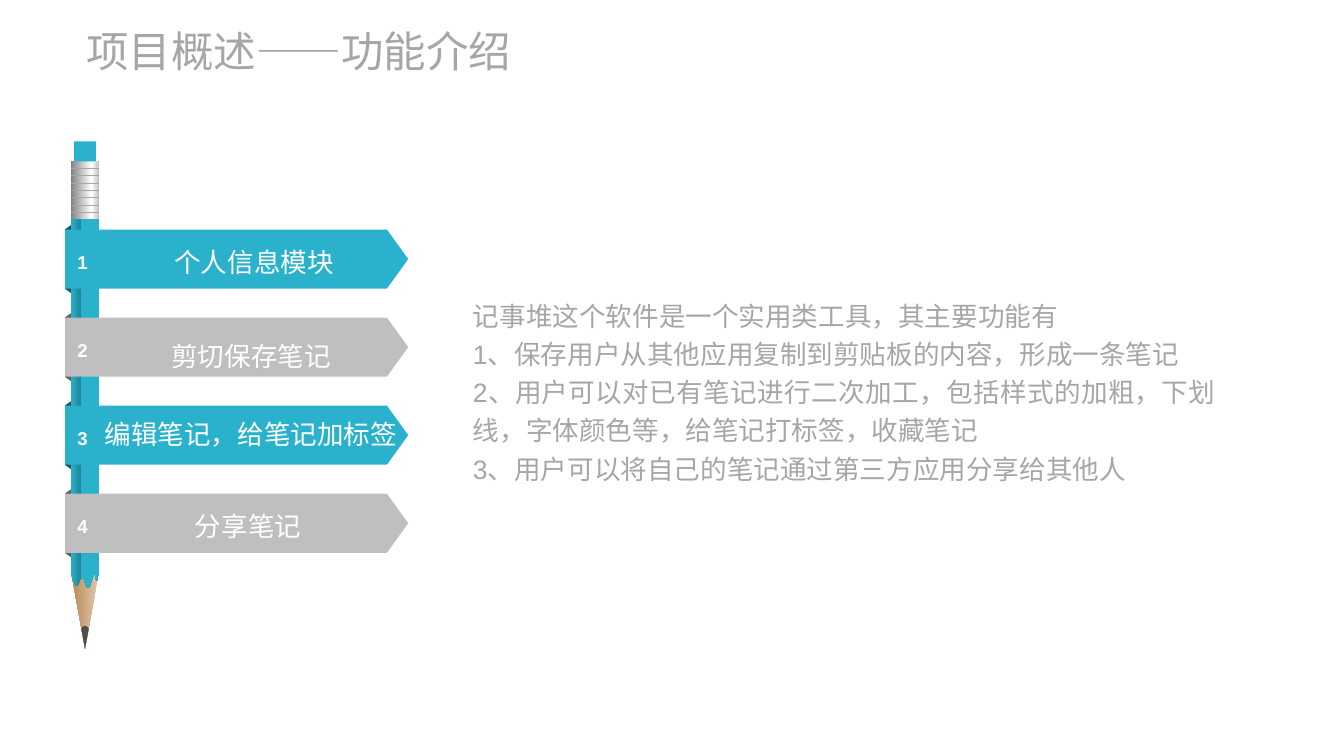
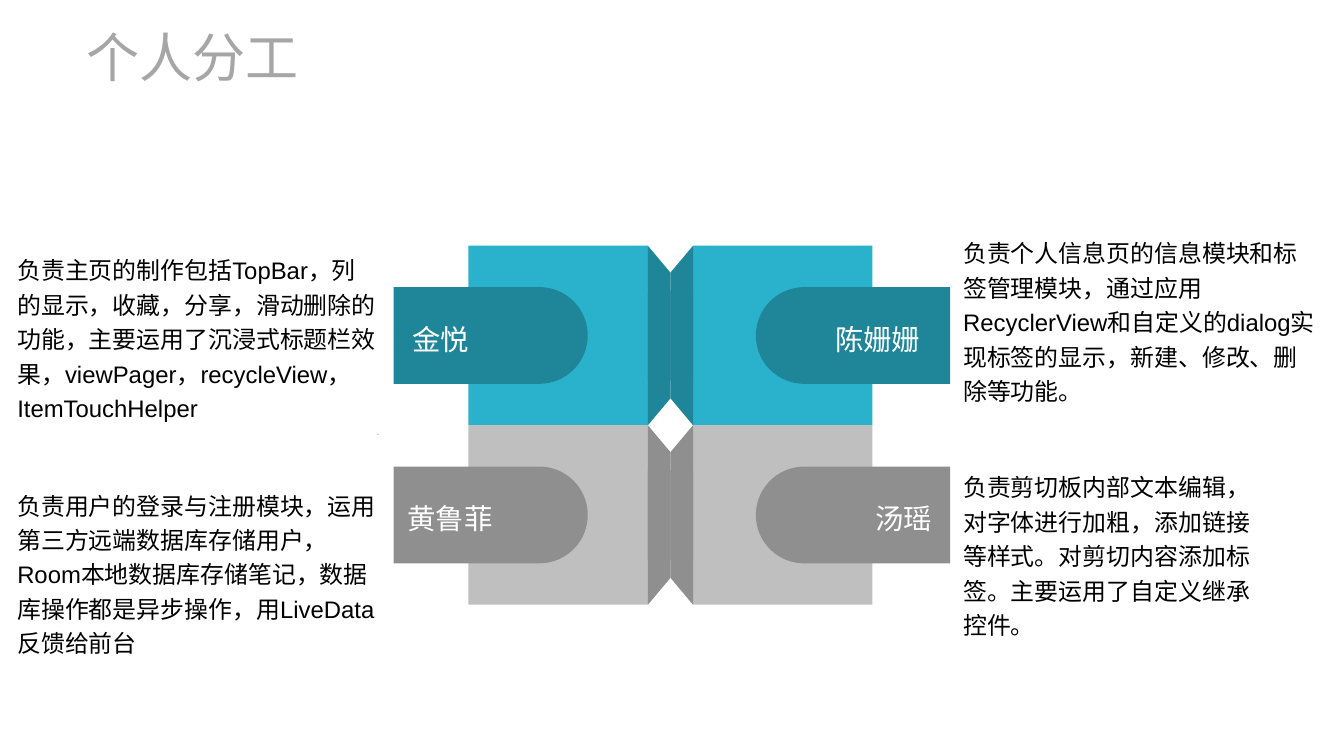
"""Build two slides: a pencil-shaped feature overview and a team task split."""
from copy import deepcopy
from dataclasses import dataclass

from lxml.etree import SubElement
from pptx import Presentation
from pptx.dml.color import RGBColor
from pptx.enum.shapes import MSO_CONNECTOR as Connector, MSO_SHAPE as Preset
from pptx.enum.text import MSO_ANCHOR as Anchor, PP_ALIGN as Align
from pptx.oxml.ns import qn
from pptx.util import Cm, Pt


@dataclass(frozen=True)
class Theme:
    font: str = "Arial"
    teal: str = "2AB2CC"
    teal_dark: str = "1F8699"
    teal_fold: str = "155966"
    silver: str = "BFBFBF"
    silver_dark: str = "8F8F8F"
    silver_fold: str = "606060"
    muted: str = "A6A6A6"
    lead: str = "4C504C"
    white: str = "FFFFFF"
    black: str = "000000"
    name_size: float = 21.4
    body_size: int = 20
    task_size: int = 18
    number_size: int = 14
    dot_size: int = 8
    spacing: float = 1.2


THEME = Theme()
SLIDE_SIZE = (35.72, 20.09)
NO_MARGINS = dict.fromkeys(("margin_left", "margin_top", "margin_right", "margin_bottom"), 0)

FEATURES_TITLE = ("项目概述——功能介绍", 32, (2.29, 0.66, 12.45, 1.37))
FEATURES = [
    ("个人信息模块", 3.73, 0.15, 6.05),
    ("剪切保存笔记", 3.65, 0.3, 6.05),
    ("编辑笔记，给笔记加标签", 2.29, 0.03, 8.76),
    ("分享笔记", 3.57, 0.13, 6.05),
]
SUMMARY = [
    "记事堆这个软件是一个实用类工具，其主要功能有",
    "1、保存用户从其他应用复制到剪贴板的内容，形成一条笔记",
    "2、用户可以对已有笔记进行二次加工，包括样式的加粗，下划线，字体颜色等，给笔记打标签，收藏笔记",
    "3、用户可以将自己的笔记通过第三方应用分享给其他人",
]
SUMMARY_BOX = (12.32, 7.67, 20.24, 6.1)
BAND = {"left": 1.73, "top": 6.1, "width": 9.12, "height": 1.57, "pitch": 2.34}
BAND_COLORS = [(THEME.teal, THEME.teal_fold), (THEME.silver, THEME.silver_fold)]

PENCIL_LEFT, PENCIL_WIDTH = 1.88, 0.76
BODY_OUTLINE = [
    [(1.88, 5.82)], [(2.64, 5.82)], [(2.64, 15.14)],
    [(2.64, 15.34), (2.59, 15.39), (2.57, 15.44)],
    [(2.51, 15.37), (2.54, 15.21), (2.51, 15.27)],
    [(2.46, 15.29), (2.41, 15.62), (2.34, 15.62)],
    [(2.29, 15.65), (2.24, 15.34), (2.18, 15.34)],
    [(2.13, 15.34), (2.08, 15.6), (2.03, 15.57)],
    [(1.96, 15.49), (1.9, 15.34), (1.88, 15.19)],
]
LEAD_OUTLINE = [
    [(2.26, 16.64)],
    [(2.31, 16.64), (2.36, 16.69), (2.36, 16.71)],
    [(2.26, 17.25)], [(2.16, 16.71)],
    [(2.18, 16.66), (2.21, 16.64), (2.26, 16.64)],
]
WOOD_STOPS = [(0, "E1C9AF"), (1, "B88954")]
FERRULE_STOPS = [(0, THEME.silver), (0.27, THEME.white), (1, "808080")]
BODY_STOPS = [(0, THEME.teal), (0.34, THEME.teal_dark), (0.38, THEME.teal), (1, THEME.teal)]

TEAM_TITLE = ("个人分工", 40, (2.29, 0.64, 13.64, 1.7))
TEAM = [
    ("金悦", 11.72, 0, 0, (0.46, 6.65, 9.63, 5.03),
     "负责主页的制作包括TopBar，列的显示，收藏，分享，滑动删除的功能，主要运用了沉浸式标题栏效果，"
     "viewPager，recycleView，ItemTouchHelper"),
    ("黄鲁菲", 11.96, 0, 1, (0.46, 12.9, 9.63, 4.62),
     "负责用户的登录与注册模块，运用第三方远端数据库存储用户，Room本地数据库存储笔记，"
     "数据库操作都是异步操作，用LiveData反馈给前台"),
    ("陈姗姗", 23.33, 1, 0, (25.6, 6.2, 9.45, 4.62),
     "负责个人信息页的信息模块和标签管理模块，通过应用RecyclerView和自定义的dialog"
     "实现标签的显示，新建、修改、删除等功能。"),
    ("汤瑶", 24.01, 1, 1, (25.6, 12.42, 7.62, 5.54),
     "负责剪切板内部文本编辑，对字体进行加粗，添加链接等样式。对剪切内容添加标签。"
     "主要运用了自定义继承控件。"),
]
CARD_COLORS = [(THEME.teal, THEME.teal_dark), (THEME.silver, THEME.silver_dark)]
CARD_TOP, CARD_SIDE, AXIS = 6.53, 4.77, 17.82
SPINE_WIDTH, SPINE_HEIGHT = 0.6, 3.58
TAB_CENTERS, TAB_WIDTH, TAB_HEIGHT = (13.04, 22.67), 2.57, 5.16
NAME_WIDTH, NAME_HEIGHT = 2.5, 0.97


def apply(target, values):
    for name, value in values.items():
        setattr(target, name, value)


def paint(shape, fill, angle=0):
    shape.shadow.inherit = False
    shape.line.fill.background()
    if isinstance(fill, str):
        shape.fill.solid()
        shape.fill.fore_color.rgb = RGBColor.from_string(fill)
        return
    shape.fill.gradient()
    shape.fill.gradient_angle = -angle % 360
    stop_list = next(shape.element.iter(qn("a:gsLst")))
    while len(stop_list) < len(fill):
        stop_list.append(deepcopy(stop_list[0]))
    for stop, (position, color) in zip(shape.fill.gradient_stops, fill):
        stop.position = position
        stop.color.rgb = RGBColor.from_string(color)


def add_preset(slide, preset, box, fill, angle=0, rotation=0, adjust=(), flip=False):
    shape = slide.shapes.add_shape(preset, *map(Cm, box))
    shape.rotation = rotation
    for index, value in enumerate(adjust):
        shape.adjustments[index] = value
    if flip:
        shape.element.spPr.get_or_add_xfrm().set("flipH", "1")
    paint(shape, fill, angle)


def centered(x, y, width, height):
    return x - width / 2, y - height / 2, width, height


def flatten(outline, steps=8):
    points = [outline[0][0]]
    for segment in outline[1:]:
        if len(segment) == 1:
            points += segment
            continue
        controls = [points[-1], *segment]
        for step in range(1, steps + 1):
            t = step / steps
            weights = ((1 - t) ** 3, 3 * t * (1 - t) ** 2, 3 * t * t * (1 - t), t ** 3)
            points.append(tuple(sum(w * c[axis] for w, c in zip(weights, controls))
                                for axis in (0, 1)))
    return points


def add_outline(slide, outline, fill):
    start, *rest = [(Cm(x), Cm(y)) for x, y in flatten(outline)]
    builder = slide.shapes.build_freeform(*start)
    builder.add_line_segments(rest, close=True)
    paint(builder.convert_to_shape(), fill)


def add_text(slide, box, lines, size, color, align=Align.LEFT, bold=False,
             spacing=THEME.spacing, before=0, **frame_values):
    frame = slide.shapes.add_textbox(*map(Cm, box)).text_frame
    apply(frame, {"word_wrap": True, **frame_values})
    for index, line in enumerate(lines):
        paragraph = frame.add_paragraph() if index else frame.paragraphs[0]
        apply(paragraph, {"alignment": align, "line_spacing": spacing,
                          "space_before": Pt(before)})
        run = paragraph.add_run()
        run.text = line
        apply(run.font, {"name": THEME.font, "size": Pt(size), "bold": bold})
        run.font.color.rgb = RGBColor.from_string(color)
    return frame


def add_title(slide, text, size, box):
    add_text(slide, box, [text], size, THEME.muted, spacing=1.0,
             vertical_anchor=Anchor.MIDDLE, **NO_MARGINS)


def add_pencil(slide):
    center = PENCIL_LEFT + PENCIL_WIDTH / 2
    add_preset(slide, Preset.PENTAGON, centered(center, 16.18, 2.11, PENCIL_WIDTH),
               WOOD_STOPS, angle=90, rotation=90, adjust=[2.82])
    add_outline(slide, BODY_OUTLINE, BODY_STOPS)
    add_preset(slide, Preset.RECTANGLE, (PENCIL_LEFT, 4.29, PENCIL_WIDTH, 1.53),
               FERRULE_STOPS, angle=180)
    add_preset(slide, Preset.RECTANGLE, (1.97, 3.76, 0.58, 0.53), THEME.teal)
    add_outline(slide, LEAD_OUTLINE, THEME.lead)
    for index in range(7):
        y = Cm(4.47 + index * 0.195)
        ridge = slide.shapes.add_connector(Connector.STRAIGHT, Cm(PENCIL_LEFT), y,
                                           Cm(PENCIL_LEFT + PENCIL_WIDTH), y)
        ridge.line.width = Pt(0.5)
        ridge.line.color.rgb = RGBColor.from_string(THEME.muted)
        SubElement(ridge.element.spPr, qn("a:effectLst"))


def add_feature(slide, index, label, left, offset, width):
    top = BAND["top"] + index * BAND["pitch"]
    color, fold = BAND_COLORS[index % 2]
    middle = top + BAND["height"] / 2
    add_preset(slide, Preset.TRAPEZOID, centered(1.81, middle, 1.8, 0.15), fold,
               rotation=270, adjust=[0.7])
    add_preset(slide, Preset.PENTAGON, (BAND["left"], top, BAND["width"], BAND["height"]),
               color, adjust=[0.36])
    add_text(slide, (1.8, top + 0.32, 0.79, 0.91), [str(index + 1)], THEME.number_size,
             THEME.white, Align.CENTER, bold=True, word_wrap=False)
    add_text(slide, (left, top + offset, width, 1.27), [label], THEME.body_size,
             THEME.white, Align.CENTER)


def add_member(slide, name, name_center, column, row, task_box, task):
    color, dark = CARD_COLORS[row]
    top = CARD_TOP + row * CARD_SIDE
    middle = top + CARD_SIDE / 2
    card_left = AXIS + SPINE_WIDTH if column else AXIS - SPINE_WIDTH - CARD_SIDE
    spine_left = AXIS if column else AXIS - SPINE_WIDTH
    add_preset(slide, Preset.RECTANGLE, (card_left, top, CARD_SIDE, CARD_SIDE), color)
    for spine_top, rotation, flip in ((top, 0, not column),
                                      (top + CARD_SIDE - SPINE_HEIGHT, 180, bool(column))):
        add_preset(slide, Preset.FLOWCHART_MANUAL_INPUT,
                   (spine_left, spine_top, SPINE_WIDTH, SPINE_HEIGHT), dark,
                   rotation=rotation, flip=flip)
    add_preset(slide, Preset.ROUND_2_SAME_RECTANGLE,
               centered(TAB_CENTERS[column], middle, TAB_WIDTH, TAB_HEIGHT), dark,
               rotation=270 if column else 90, adjust=[0.5, 0])
    add_text(slide, centered(name_center, middle, NAME_WIDTH, NAME_HEIGHT), [name],
             THEME.name_size, THEME.white, Align.CENTER, before=4, word_wrap=False,
             vertical_anchor=Anchor.MIDDLE, **NO_MARGINS)
    return add_text(slide, task_box, [task], THEME.task_size, THEME.black, **NO_MARGINS)


def add_dot(frame):
    paragraph = frame.add_paragraph()
    apply(paragraph, {"alignment": Align.RIGHT, "line_spacing": THEME.spacing})
    run = paragraph.add_run()
    run.text = "."
    apply(run.font, {"name": THEME.font, "size": Pt(THEME.dot_size)})
    run.font.color.rgb = RGBColor.from_string(THEME.muted)


def main():
    presentation = Presentation()
    presentation.slide_width, presentation.slide_height = map(Cm, SLIDE_SIZE)
    blank = presentation.slide_layouts[6]

    features_slide = presentation.slides.add_slide(blank)
    add_pencil(features_slide)
    for index, feature in enumerate(FEATURES):
        add_feature(features_slide, index, *feature)
    add_text(features_slide, SUMMARY_BOX, SUMMARY, THEME.body_size, THEME.muted, Align.JUSTIFY)
    add_title(features_slide, *FEATURES_TITLE)

    team_slide = presentation.slides.add_slide(blank)
    task_frames = [add_member(team_slide, *member) for member in TEAM]
    add_dot(task_frames[0])
    add_title(team_slide, *TEAM_TITLE)

    presentation.save("out.pptx")


if __name__ == "__main__":
    main()
